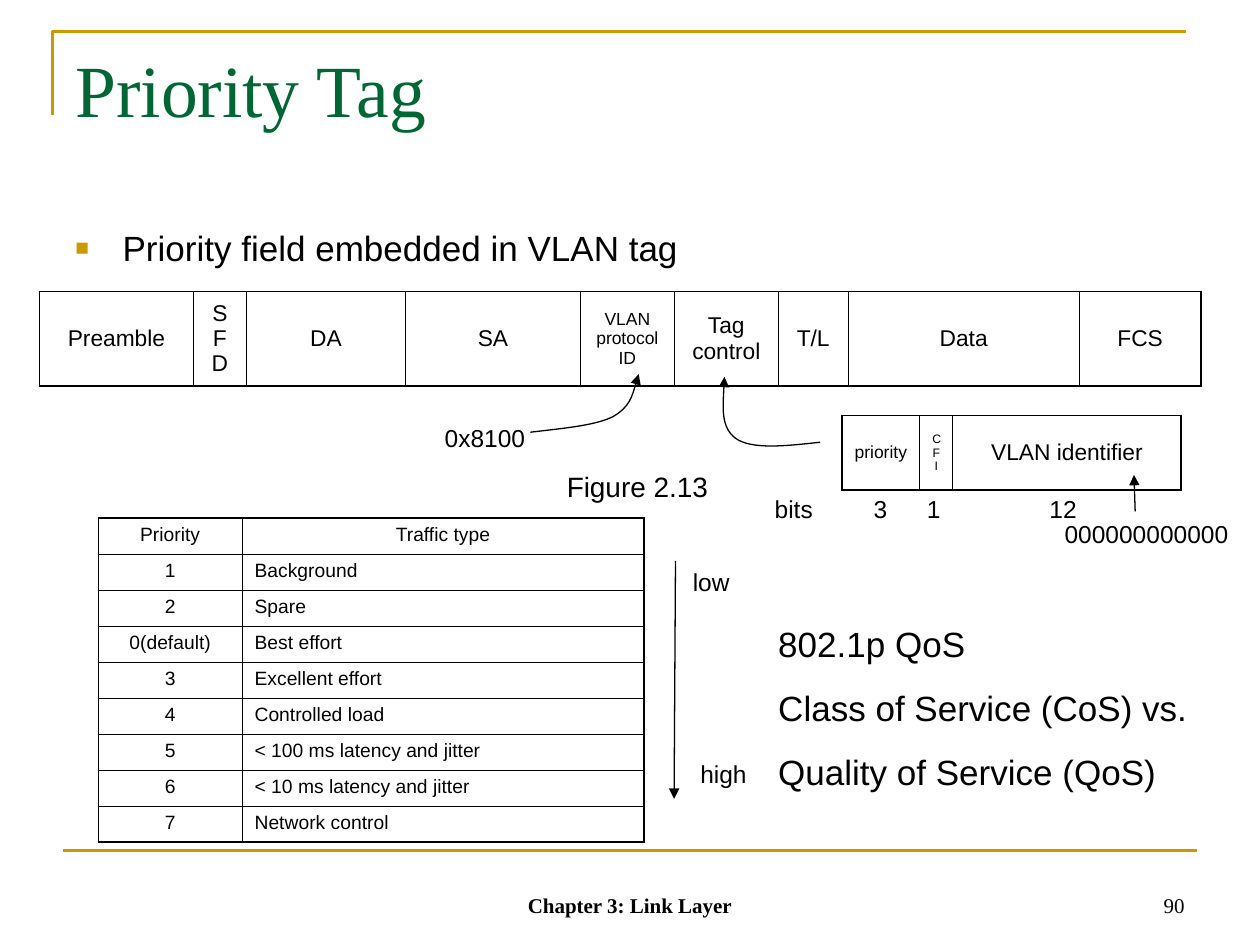
"""Build the Priority Tag slide about the VLAN tag priority field."""
from lxml import etree
from pptx import Presentation
from pptx.dml.color import RGBColor
from pptx.enum.shapes import MSO_CONNECTOR
from pptx.enum.text import MSO_ANCHOR, PP_ALIGN
from pptx.oxml.ns import qn
from pptx.util import Pt

STRAIGHT = MSO_CONNECTOR.STRAIGHT
LEFT, CENTER, RIGHT = PP_ALIGN.LEFT, PP_ALIGN.CENTER, PP_ALIGN.RIGHT
TOP, MIDDLE, BOTTOM = MSO_ANCHOR.TOP, MSO_ANCHOR.MIDDLE, MSO_ANCHOR.BOTTOM
COLORS = {"ink": "000000", "title": "006633", "gold": "CC9900"}
SANS, SERIF = "Arial", "Times New Roman"
OUTER, INNER = 1.08, 0.45


def add_element(parent, tag, **attributes):
    """Append a drawing element to a parent and return it."""
    return etree.SubElement(parent, qn(tag), attributes)


class SlideBuilder:
    """Hold the style and the current slide, and draw its elements."""

    def __init__(self, deck):
        self.slide = deck.slides.add_slide(deck.slide_layouts[6])
        self.shapes = self.slide.shapes

    def span(self, para, text, size, font=SANS, color="ink", bold=False, align=LEFT):
        """Add one styled run to a paragraph."""
        para.alignment = align
        span = para.add_run()
        span.text = text
        span.font.size, span.font.name, span.font.bold = Pt(size), font, bold
        span.font.color.rgb = RGBColor.from_string(COLORS[color])

    def text(self, place, lines, size, anchor=TOP, gap=0, **style):
        """Add a text box with one paragraph a line and return its paragraphs."""
        box = self.shapes.add_textbox(*map(Pt, place))
        frame = box.text_frame
        frame.word_wrap, frame.vertical_anchor = True, anchor
        for index, line in enumerate(lines):
            para = frame.add_paragraph() if index else frame.paragraphs[0]
            if index:
                para.space_before = Pt(gap)
            self.span(para, line, size, **style)
        return frame.paragraphs

    def bullet(self, place, line, size):
        """Add a text box with one square-bulleted paragraph."""
        para = self.text(place, [], size)[0]
        props = para._p.get_or_add_pPr()
        props.set("marL", str(Pt(27)))
        props.set("indent", str(Pt(-27)))
        add_element(add_element(props, "a:buClr"), "a:srgbClr", val=COLORS["gold"])
        add_element(props, "a:buSzPct", val="65000")
        add_element(props, "a:buFont", typeface=SANS)
        add_element(props, "a:buChar", char="■")
        self.span(para, line, size)

    def tabbed(self, place, line, size, stops):
        """Add a line of text whose parts sit at tab stops."""
        para = self.text(place, [], size)[0]
        tabs = add_element(para._p.get_or_add_pPr(), "a:tabLst")
        for stop in stops:
            add_element(tabs, "a:tab", pos=str(Pt(stop)), algn="l")
        self.span(para, line, size)

    def stroke(self, shape, color, width, arrow):
        """Style the line of a shape or connector."""
        shape.line.color.rgb = RGBColor.from_string(COLORS[color])
        shape.line.width = Pt(width)
        if arrow:
            add_element(shape._element.spPr.find(qn("a:ln")), "a:tailEnd", type="triangle")

    def line(self, start, end, color="ink", width=0.75, arrow=True):
        """Add a straight line."""
        connector = self.shapes.add_connector(STRAIGHT, *map(Pt, start + end))
        self.stroke(connector, color, width, arrow)
        add_element(connector._element.spPr, "a:effectLst")

    def outline(self, points, color="ink", width=0.75, arrow=False):
        """Add an open, unfilled polyline and return it."""
        start, *others = [tuple(map(Pt, point)) for point in points]
        builder = self.shapes.build_freeform(*start)
        builder.add_line_segments(others, close=False)
        shape = builder.convert_to_shape()
        shape.fill.background()
        shape.shadow.inherit = False
        self.stroke(shape, color, width, arrow)
        return shape

    def curve(self, points):
        """Add an arrow of Bezier pieces, three points after the start for each."""
        shape = self.outline(points, arrow=True)
        route = next(shape._element.iter(qn("a:path")))
        segments = route.findall(qn("a:lnTo"))
        for first in range(0, len(segments), 3):
            piece = add_element(route, "a:cubicBezTo")
            for segment in segments[first:first + 3]:
                piece.append(segment[0])
                route.remove(segment)

    def table(self, corner, widths, height, rows, anchor=MIDDLE):
        """Add a ruled table; each cell is text, size and alignment."""
        row_count, column_count = len(rows), len(widths)
        place = (*corner, sum(widths), height * row_count)
        table = self.shapes.add_table(row_count, column_count, *map(Pt, place)).table
        table.first_row = table.horz_banding = False
        for column, width in zip(table.columns, widths):
            column.width = Pt(width)
        for y, row in enumerate(rows):
            table.rows[y].height = Pt(height)
            for x, (text, size, align) in enumerate(row):
                cell = table.cell(y, x)
                cell.vertical_anchor = anchor
                self.span(cell.text_frame.paragraphs[0], text, size, align=align)
                edges = {"L": x == 0, "R": x == column_count - 1,
                         "T": y == 0, "B": y == row_count - 1}
                self.borders(cell, edges)
                cell.fill.background()

    def borders(self, cell, edges):
        """Rule the four sides of a cell, heavier on the table's outer edges."""
        props = cell._tc.get_or_add_tcPr()
        for side, is_outer in edges.items():
            rule = add_element(props, f"a:ln{side}", w=str(Pt(OUTER if is_outer else INNER)))
            add_element(add_element(rule, "a:solidFill"), "a:srgbClr", val=COLORS["ink"])


def main():
    """Draw the slide and save it."""
    deck = Presentation()
    deck.slide_width, deck.slide_height = Pt(720), Pt(540)
    page = SlideBuilder(deck)

    page.outline([(30, 66), (30, 18), (678, 18)], "gold", 1.5)
    page.line((36, 486), (684, 486), "gold", 1.5, arrow=False)
    page.text((516, 492, 168, 36), ["90"], 12, BOTTOM, font=SERIF, align=RIGHT)
    page.text((246, 492, 228, 36), ["Chapter 3: Link Layer"], 12, BOTTOM,
              font=SERIF, bold=True, align=CENTER)
    page.text((36, 21.6, 648, 90), ["Priority Tag"], 42, font=SERIF, color="title")
    page.bullet((36, 126, 654, 356), "Priority field embedded in VLAN tag", 20)

    frame_fields = [("Preamble", 13, 88), ("SFD", 13, 30.3), ("DA", 13, 90.9),
                    ("SA", 13, 100), ("VLAN protocol ID", 10, 53.7),
                    ("Tag control", 13, 59.4), ("T/L", 13, 40), ("Data", 13, 132),
                    ("FCS", 13, 69.7)]
    tag_fields = [("priority", 10, 44.6), ("CFI", 7, 18.9), ("VLAN identifier", 13, 130.3)]
    for corner, height, fields in [((22.5, 166.5), 54, frame_fields),
                                   ((481, 237.5), 42.5, tag_fields)]:
        cells = [(name, size, CENTER) for name, size, _ in fields]
        page.table(corner, [width for *_, width in fields], height, [cells])

    traffic_types = [("1", "Background"), ("2", "Spare"), ("0(default)", "Best effort"),
                     ("3", "Excellent effort"), ("4", "Controlled load"),
                     ("5", "< 100 ms latency and jitter"),
                     ("6", "< 10 ms latency and jitter"), ("7", "Network control")]
    rows = [[("Priority", 11, CENTER), ("Traffic type", 11, CENTER)]]
    rows += [[(level, 11, CENTER), (kind, 11, LEFT)] for level, kind in traffic_types]
    page.table((56.2, 296), [82.1, 229.7], 20.6, rows, TOP)

    page.curve([(303.1, 247), (321.1, 244.8), (339.1, 243.4), (349.9, 238.3),
                (360, 232.6), (362.2, 223.2), (365, 213.8)])
    page.curve([(468.7, 252.7), (449.3, 254.9), (429.8, 257), (420.5, 250.6),
                (411.8, 244.1), (413.3, 229.7), (414, 215.3)])
    page.line((648.7, 292.3), (648, 271.4))
    page.line((386, 320.5), (385.2, 456.5))

    labels = [("0x8100", 247, 238.3, 70), ("000000000000", 601.2, 293, 118.8),
              ("low", 388.8, 320.5, 42), ("high", 393.1, 430.4, 42)]
    for label, left, top, width in labels:
        page.text((left, top, width, 24.5), [label], 14)
    page.text((316.8, 265, 138, 26.6), ["Figure 2.13"], 16)
    page.tabbed((435.6, 278.6, 247, 24.5), "bits\t3\t1\t12", 14, [56.5, 87, 157])
    page.text((437.6, 352.1, 250, 141),
              ["802.1p QoS", "Class of Service (CoS) vs.", "Quality of Service (QoS)"],
              20, gap=12.5)

    deck.save("out.pptx")


if __name__ == "__main__":
    main()
